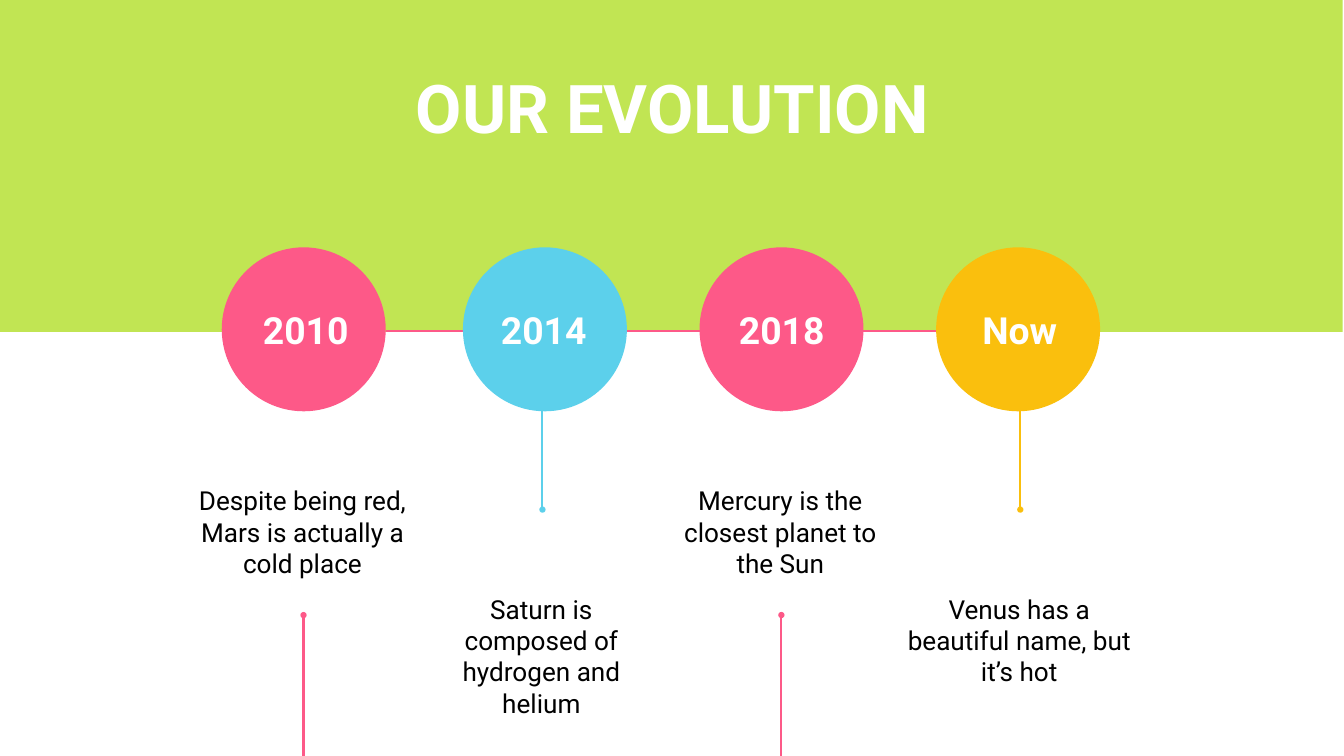
from lxml.etree import SubElement
from pptx import Presentation
from pptx.dml.color import RGBColor
from pptx.enum.shapes import MSO_CONNECTOR as Connector, MSO_SHAPE as Shape
from pptx.enum.text import MSO_ANCHOR as Anchor, MSO_AUTO_SIZE as AutoSize, PP_ALIGN as Align
from pptx.oxml.ns import qn
from pptx.util import Pt

COLORS = {"green": "C1E553", "pink": "FD5988", "blue": "5CD0EB",
          "amber": "FABF0D", "white": "FFFFFF", "black": "000000"}
FONT = "Roboto"
INSET = 14.4
CIRCLE = 175.7

# Year, colour, circle left, note, whether the note hangs low
MILESTONES = [
    ("2010", "pink", 237.6, "Despite being red, Mars is actually a cold place", False),
    ("2014", "blue", 496, "Saturn is composed of hydrogen and helium", True),
    ("2018", "pink", 749.5, "Mercury is the closest planet to the Sun", False),
    ("Now", "amber", 1003, "Venus has a beautiful name, but it’s hot", True),
]


def color(name):
    return RGBColor.from_string(COLORS[name])


def place(shape, box):
    shape.left, shape.top, shape.width, shape.height = map(Pt, box)


def write(shape, text, size, ink, bold=False, anchor=Anchor.TOP, after=0):
    frame = shape.text_frame
    frame.word_wrap = True
    frame.auto_size = AutoSize.NONE
    frame.vertical_anchor = anchor
    frame.margin_left = frame.margin_right = Pt(INSET)
    frame.margin_top = frame.margin_bottom = Pt(INSET)
    para = frame.paragraphs[0]
    para.text = text
    para.alignment = Align.CENTER
    para.space_before, para.space_after = Pt(0), Pt(after)
    props = para._p.get_or_add_pPr()
    props.set("marL", "0")
    props.set("indent", "0")
    SubElement(props, qn("a:buNone"))
    font = para.font
    font.name, font.size, font.bold = FONT, Pt(size), bold
    font.color.rgb = color(ink)


def add_filled(page, kind, box, fill):
    shape = page.shapes.add_shape(kind, *map(Pt, box))
    shape.shadow.inherit = False
    shape.fill.solid()
    shape.fill.fore_color.rgb = color(fill)
    shape.line.fill.background()
    return shape


def add_line(page, start, end, ink, dot=False):
    line = page.shapes.add_connector(Connector.STRAIGHT, *map(Pt, start + end))
    line.line.color.rgb = color(ink)
    line.line.width = Pt(2.25)
    if dot:
        SubElement(line.line._get_or_add_ln(), qn("a:headEnd"), type="oval")
    SubElement(line._element.spPr, qn("a:effectLst"))


def build_header(page, box):
    left, top, width, height = box
    band = add_filled(page, Shape.RECTANGLE, box, "green")
    page.shapes._spTree.insert(2, band._element)  # behind the placeholders
    title = page.shapes.title
    place(title, (left + 105, top + 63, width - 206.6, 90))
    write(title, "OUR EVOLUTION", 72, "white", bold=True)


def build_timeline(page, box):
    left, top, width, height = box
    pitch = 256
    middle = top + CIRCLE / 2
    notes = [holder for holder in page.placeholders if holder.placeholder_format.idx > 0]

    # Axis behind the circles
    add_line(page, (413.3, middle + 2), (1008.7, middle + 2), "pink")

    for index, (year, ink, circle_left, text, low) in enumerate(MILESTONES):
        # Note
        note_left = left + index * pitch
        note_box = (note_left, top + (356 if low else 240), 273.6, 155.5 if low else 128)
        place(notes[index], note_box)
        write(notes[index], text, 28, "black", after=32)

        # Circle
        add_filled(page, Shape.OVAL, (circle_left, top, CIRCLE, CIRCLE), ink)

        # Stem, dotted at the end nearest the note
        stem = note_left + 138
        start, end = (top + 281, top + 100) if low else (top + 394, top + height)
        add_line(page, (stem, start), (stem, end), ink, dot=True)

        # Year
        label = page.shapes.add_textbox(
            *map(Pt, (left + 52.5 + index * 255, middle - 25, CIRCLE, 50.4)))
        write(label, year, 40, "white", bold=True, anchor=Anchor.MIDDLE)


def main():
    deck = Presentation()
    deck.slide_width, deck.slide_height = Pt(1440), Pt(810)
    page = deck.slides.add_slide(deck.slide_layouts.get_by_name("Comparison"))
    build_header(page, (-1.4, -6, 1440, 361.5))
    build_timeline(page, (187.2, 265, 1042, 549))
    deck.save("out.pptx")


if __name__ == "__main__":
    main()
